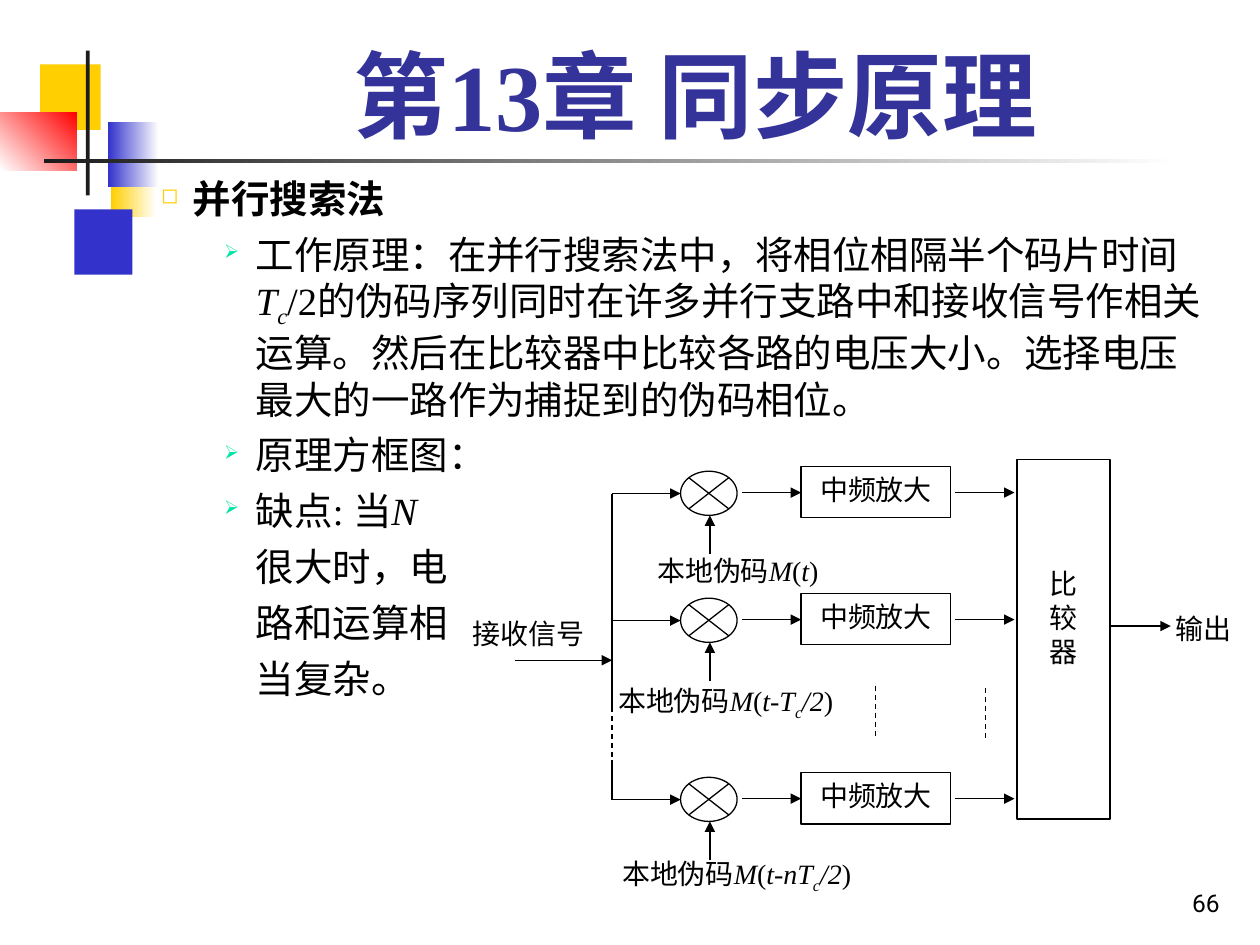
from pptx import Presentation
from pptx.dml.color import RGBColor
from pptx.enum.dml import MSO_LINE
from pptx.enum.shapes import MSO_CONNECTOR, MSO_SHAPE
from pptx.enum.text import MSO_ANCHOR, PP_ALIGN
from pptx.oxml.ns import qn
from pptx.util import Cm, Pt
from lxml.etree import SubElement

HUES = {"black": "000000", "white": "FFFFFF", "gold": "FFCF01", "blue": "3333CC",
        "red": "FF0000", "ink": "1C1C1C", "title": "333399", "mint": "00E4A8"}
TINT = {name: RGBColor.from_string(code) for name, code in HUES.items()}
SERIF = "Times New Roman"

deck = Presentation()
deck.slide_width, deck.slide_height = Cm(25.4), Cm(19.05)
slide = deck.slides.add_slide(deck.slide_layouts[6])
shapes = slide.shapes


def write(par, parts, size, hue="black", bold=False, face=SERIF):
    """Fill a paragraph with (text, style) parts; i is italic, s is subscript."""
    for text, style in parts:
        run = par.add_run()
        run.text = text
        font = run.font
        font.name, font.size, font.bold = face, Pt(size), bold
        font.italic = "i" in style
        font.color.rgb = TINT[hue]
        if "s" in style:
            font._element.set("baseline", "-25000")


def wire(x1, y1, x2, y2, arrow=False, dash=False):
    """Draw a thin black line, with an arrowhead at its end if asked."""
    link = shapes.add_connector(MSO_CONNECTOR.STRAIGHT, Cm(x1), Cm(y1), Cm(x2), Cm(y2))
    link.line.color.rgb = TINT["black"]
    link.line.width = Pt(0.75)
    if dash:
        link.line.dash_style = MSO_LINE.DASH
    if arrow:
        SubElement(link.line._get_or_add_ln(), qn("a:tailEnd"), type="triangle")
    SubElement(link._element.spPr, qn("a:effectLst"))


# Corner ornament: place, first and last hue, angle
tiles = [
    (2.24, 3.05, 0.91, 1.32, "white", "gold", 180),
    (1.5, 4.22, 1.17, 1.32, "blue", None, 0),
    (0.81, 1.3, 1.22, 1.32, "gold", None, 0),
    (2.18, 2.46, 1.02, 1.32, "white", "blue", 180),
    (0, 2.26, 1.55, 1.17, "red", "white", 225),
    (1.73, 1.02, 0.08, 2.92, "ink", None, 0),
    (0.89, 3.2, 22.86, 0.08, "white", "ink", 180),
]
for x, y, w, h, start, end, angle in tiles:
    tile = shapes.add_shape(MSO_SHAPE.RECTANGLE, Cm(x), Cm(y), Cm(w), Cm(h))
    tile.shadow.inherit = False
    tile.line.fill.background()
    if end:
        tile.fill.gradient()
        tile.fill.gradient_angle = angle
        for stop, hue in zip(tile.fill.gradient_stops, (start, end)):
            stop.color.rgb = TINT[hue]
    else:
        tile.fill.solid()
        tile.fill.fore_color.rgb = TINT[start]

# Diagram blocks: comparator, then a mixer and an amplifier on each branch
rows = [9.95, 12.51, 16.12]
blocks = [(MSO_SHAPE.RECTANGLE, 20.5, 9.27, 1.88, 7.24, "比较器", 2.16)]
for mid in rows:
    blocks += [
        (MSO_SHAPE.FLOWCHART_SUMMING_JUNCTION, 13.72, mid - 0.45, 1.14, 0.89, "", 0),
        (MSO_SHAPE.RECTANGLE, 16.15, mid - 0.55, 3.02, 1.04, ["中频放大"], 0.13),
    ]
for kind, x, y, w, h, lines, top in blocks:
    block = shapes.add_shape(kind, Cm(x), Cm(y), Cm(w), Cm(h))
    block.shadow.inherit = False
    block.fill.solid()
    block.fill.fore_color.rgb = TINT["white"]
    block.line.color.rgb = TINT["black"]
    block.line.width = Pt(0.75)
    frame = block.text_frame
    frame.vertical_anchor = MSO_ANCHOR.TOP
    frame.margin_top = Cm(top)
    for n, line in enumerate(lines):
        par = frame.add_paragraph() if n else frame.paragraphs[0]
        par.alignment = PP_ALIGN.CENTER
        write(par, [(line, "")], 16)

# Branch arrows
for mid in rows:
    wire(12.34, mid, 13.72, mid, arrow=True)
    wire(14.96, mid - 0.02, 16.15, mid - 0.02, arrow=True)
    wire(19.25, mid - 0.02, 20.45, mid - 0.02, arrow=True)
    wire(14.31, mid + 1.22, 14.31, mid + 0.44, arrow=True)

# Input, output, bus and the dashed gaps
wire(10.39, 13.31, 12.34, 13.31, arrow=True)
wire(22.4, 12.62, 23.6, 12.62, arrow=True)
wire(12.34, rows[0], 12.34, 14.27)
wire(12.34, 15.32, 12.34, rows[2])
for x, y1, y2 in [(12.34, 14.25, 15.32), (17.65, 13.82, 14.88), (19.86, 13.87, 14.91)]:
    wire(x, y1, x, y2, dash=True)

# Diagram labels
code = [("本地伪码", ""), ("M", "i"), ("(", "")]
half = [("c", "is"), ("/2", "i"), (")", "")]
labels = [
    (9.14, 12.42, 3.02, [("接收信号", "")]),
    (23.27, 12.32, 1.98, [("输出", "")]),
    (12.65, 11.15, 4.45, code + [("t", "i"), (")", "")]),
    (11.91, 13.77, 5.44, code + [("t-T", "i")] + half),
    (11.84, 17.27, 6.02, code + [("t-nT", "i")] + half),
]
for x, y, w, parts in labels:
    frame = shapes.add_textbox(Cm(x), Cm(y), Cm(w), Cm(0.79)).text_frame
    frame.word_wrap = True
    frame.margin_left = frame.margin_right = frame.margin_top = frame.margin_bottom = 0
    frame.paragraphs[0].alignment = PP_ALIGN.CENTER
    write(frame.paragraphs[0], parts, 16)

# Title and page number
heads = [
    (3.2, 0.58, 21.64, 2.57, "第13章 同步原理", PP_ALIGN.CENTER, (54, "title", True, SERIF)),
    (19.56, 17.35, 5.28, 1.27, "66", PP_ALIGN.RIGHT, (14, "black", False, "Roboto")),
]
for x, y, w, h, text, side, look in heads:
    frame = shapes.add_textbox(Cm(x), Cm(y), Cm(w), Cm(h)).text_frame
    frame.word_wrap = True
    frame.vertical_anchor = MSO_ANCHOR.BOTTOM
    frame.paragraphs[0].alignment = side
    write(frame.paragraphs[0], [(text, "")], *look)

# Body text: left margin, bullet (sign, hue, percent), bold, parts
square, arrow = ("◻", "gold", 55), ("➢", "mint", 50)
body = [
    (4.45, square, True, [("并行搜索法", "")]),
    (5.72, arrow, False, [
        ("工作原理：在并行搜索法中，将相位相隔半个码片时间", ""), ("T", "i"), ("c", "is"),
        ("/2的伪码序列同时在许多并行支路中和接收信号作相关运算。"
         "然后在比较器中比较各路的电压大小。选择电压最大的一路作为捕捉到的伪码相位。", "")]),
    (5.72, arrow, False, [("原理方框图：", "")]),
    (5.72, arrow, False, [("缺点: 当", ""), ("N", "i")]),
    (5.72, None, False, [("很大时，电", "")]),
    (5.72, None, False, [("路和运算相", "")]),
    (5.72, None, False, [("当复杂。", "")]),
]
frame = shapes.add_textbox(Cm(-0.81), Cm(3.4), Cm(25.4), Cm(15.65)).text_frame
frame.word_wrap = True
for n, (left, bullet, bold, parts) in enumerate(body):
    par = frame.add_paragraph() if n else frame.paragraphs[0]
    props = par._p.get_or_add_pPr()
    props.set("marL", str(Cm(left)))
    props.set("indent", str(Cm(-0.64) if bullet else 0))
    if bullet:
        sign, hue, size = bullet
        SubElement(SubElement(props, qn("a:buClr")), qn("a:srgbClr"), val=HUES[hue])
        SubElement(props, qn("a:buSzPct"), val=str(size * 1000))
        SubElement(props, qn("a:buChar"), char=sign)
    if n:
        par.space_before = Pt(5.5)
    write(par, parts, 22, bold=bold)

deck.save("out.pptx")
